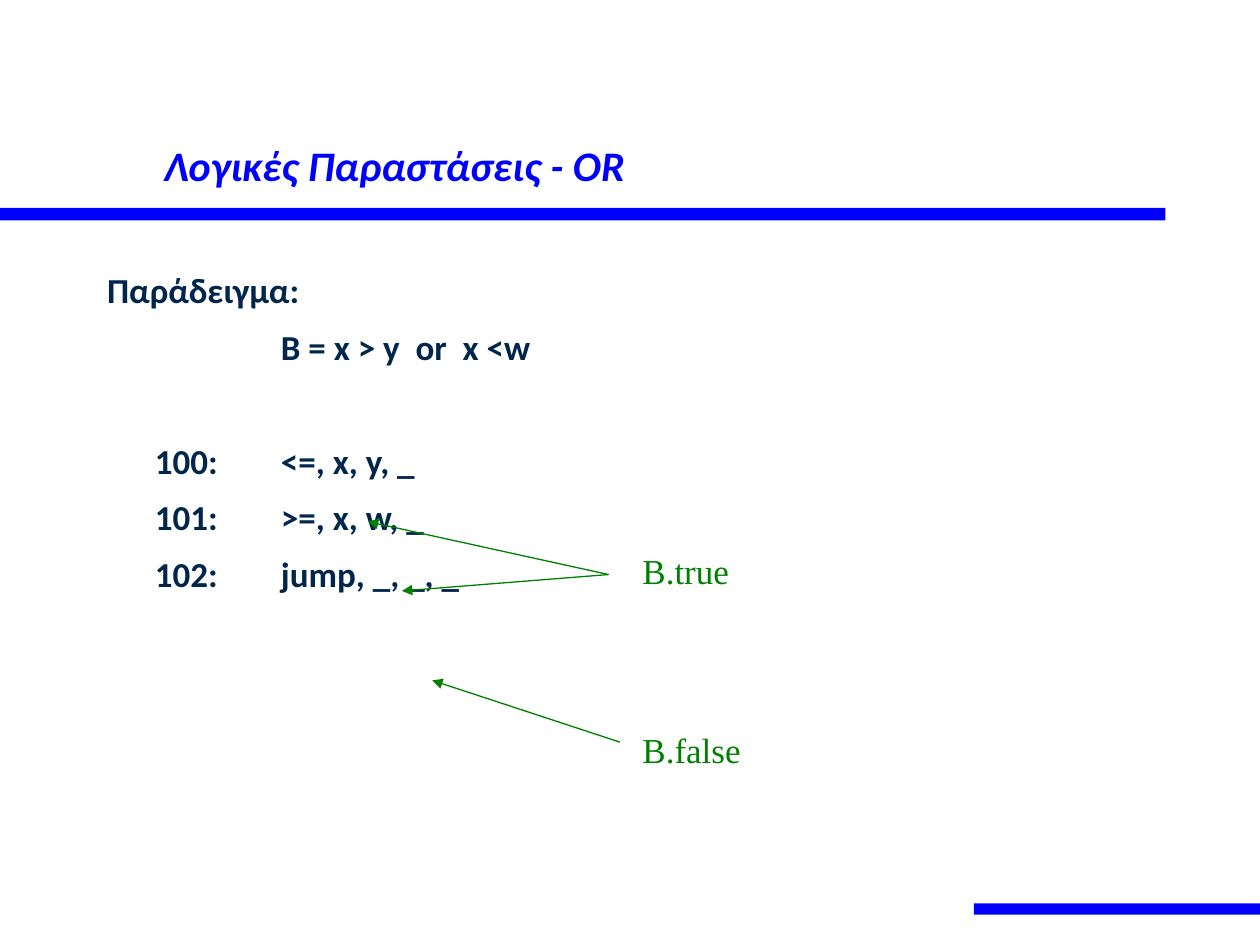
from dataclasses import dataclass

from lxml.etree import SubElement
from pptx import Presentation
from pptx.dml.color import RGBColor
from pptx.enum.shapes import MSO_CONNECTOR, MSO_SHAPE
from pptx.enum.text import MSO_ANCHOR, MSO_AUTO_SIZE, PP_ALIGN
from pptx.oxml.ns import qn
from pptx.util import Inches, Pt


@dataclass(frozen=True)
class Theme:
    accent: RGBColor = RGBColor(0x00, 0x00, 0xFF)
    body: RGBColor = RGBColor(0x00, 0x26, 0x4C)
    label: RGBColor = RGBColor(0x00, 0x80, 0x00)
    main_font: str = "Calibri"
    label_font: str = "Times New Roman"
    title_size: float = 24
    text_size: float = 20
    line_gap: float = 8.4
    block_gap: float = 41.2
    arrow_width: float = 0.75


def write(para, text, *, font, size, color, bold=False, italic=False):
    para.alignment = PP_ALIGN.LEFT
    span = para.add_run()
    span.text = text
    span.font.name = font
    span.font.size = Pt(size)
    span.font.color.rgb = color
    span.font.bold = bold
    span.font.italic = italic


class SlideBuilder:
    def __init__(self, page, theme):
        self.page = page
        self.theme = theme

    def place(self, box, left, top, width, height):
        box.left, box.top = Inches(left), Inches(top)
        box.width, box.height = Inches(width), Inches(height)
        box.text_frame.auto_size = MSO_AUTO_SIZE.NONE

    def bar(self, left, top, width, height):
        shape = self.page.shapes.add_shape(
            MSO_SHAPE.RECTANGLE, Inches(left), Inches(top), Inches(width), Inches(height)
        )
        shape.shadow.inherit = False
        shape.fill.solid()
        shape.fill.fore_color.rgb = self.theme.accent
        shape.line.fill.background()

    def title(self, text, *position):
        box = self.page.shapes.title
        self.place(box, *position)
        box.text_frame.vertical_anchor = MSO_ANCHOR.BOTTOM
        write(box.text_frame.paragraphs[0], text, font=self.theme.main_font,
              size=self.theme.title_size, color=self.theme.accent, bold=True, italic=True)

    def body(self, blocks, *position):
        box = self.page.placeholders[1]
        self.place(box, *position)
        frame = box.text_frame
        frame.vertical_anchor = MSO_ANCHOR.TOP
        for block_number, block in enumerate(blocks):
            for line_number, text in enumerate(block):
                first = block_number == line_number == 0
                para = frame.paragraphs[0] if first else frame.add_paragraph()
                opens_block = block_number > 0 and line_number == 0
                para.line_spacing = 1.0
                para.space_before = Pt(self.theme.block_gap if opens_block else self.theme.line_gap)
                write(para, text, font=self.theme.main_font, size=self.theme.text_size,
                      color=self.theme.body, bold=True)
                self.hang(para)

    def hang(self, para):
        properties = para._p.get_or_add_pPr()
        properties.set("marL", str(Inches(0.38)))
        properties.set("indent", str(Inches(-0.38)))
        properties.set("defTabSz", str(Inches(1)))
        SubElement(properties, qn("a:buNone"))

    def label(self, text, left, top, width, height):
        box = self.page.shapes.add_textbox(
            Inches(left), Inches(top), Inches(width), Inches(height)
        )
        box.text_frame.word_wrap = False
        box.text_frame.auto_size = MSO_AUTO_SIZE.SHAPE_TO_FIT_TEXT
        write(box.text_frame.paragraphs[0], text, font=self.theme.label_font,
              size=self.theme.text_size, color=self.theme.label)

    def arrow(self, start, end):
        connector = self.page.shapes.add_connector(
            MSO_CONNECTOR.STRAIGHT, *(Inches(value) for value in (*start, *end))
        )
        connector.line.color.rgb = self.theme.label
        connector.line.width = Pt(self.theme.arrow_width)
        SubElement(connector.line._get_or_add_ln(), qn("a:tailEnd"), type="triangle")
        SubElement(connector._element.spPr, qn("a:effectLst"))


def main():
    deck = Presentation()
    deck.slide_width, deck.slide_height = Inches(10), Inches(7.5)
    page = deck.slides.add_slide(deck.slide_layouts[1])
    builder = SlideBuilder(page, Theme())

    builder.bar(0, 1.65, 9.25, 0.1)
    builder.bar(7.73, 7.17, 2.27, 0.09)
    builder.title("Λογικές Παραστάσεις - OR", 1.2, 0.31, 8.5, 1.25)
    example = ["Παράδειγμα:", "\t\tB = x > y  or  x <w"]
    code = ["<=, x, y, _", ">=, x, w, _", "jump, _, _, _"]
    listing = [f"\t{number}:\t{line}" for number, line in enumerate(code, 100)]
    builder.body([example, listing], 0.75, 2.08, 8.5, 4.58)

    builder.label("B.true", 5, 4.31, 0.89, 0.43)
    builder.label("B.false", 5, 5.73, 0.98, 0.43)
    builder.arrow((4.92, 5.89), (3.43, 5.4))
    for target in ((2.92, 4.14), (3.19, 4.69)):
        builder.arrow((4.83, 4.56), target)

    deck.save("out.pptx")


if __name__ == "__main__":
    main()
